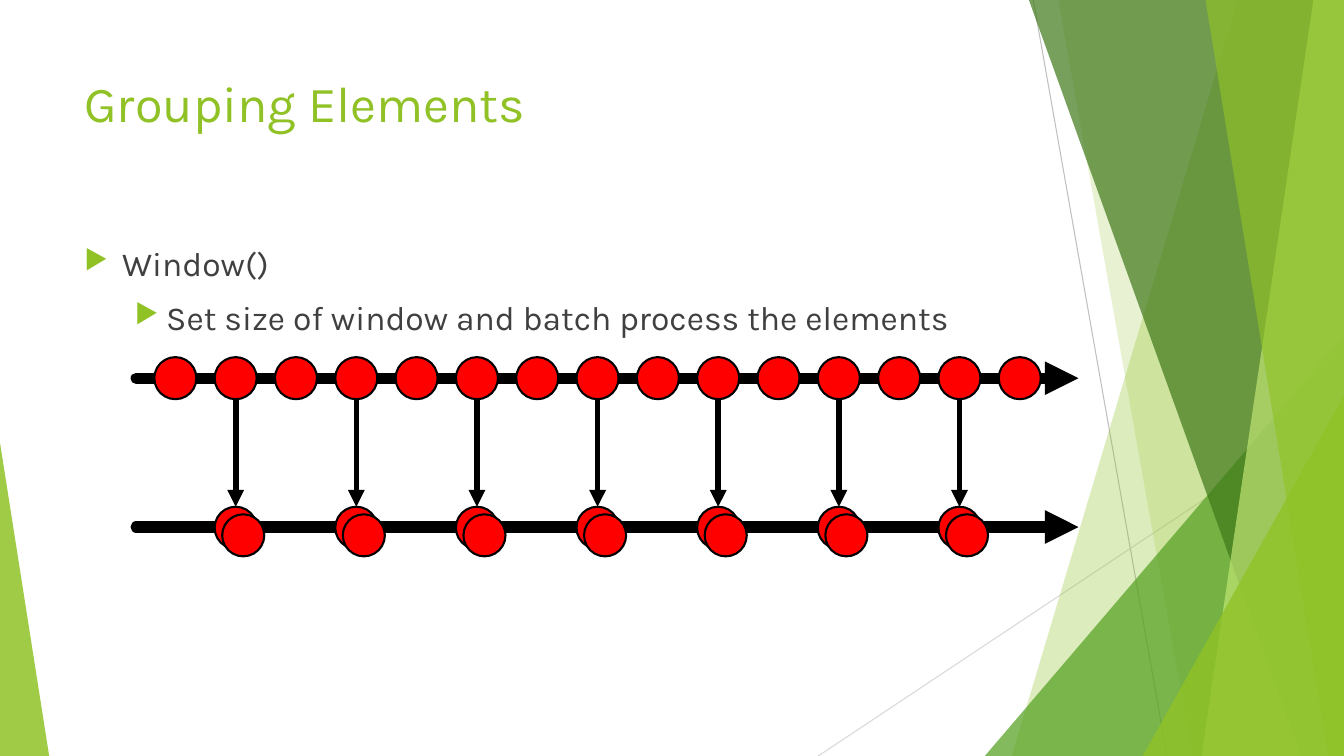
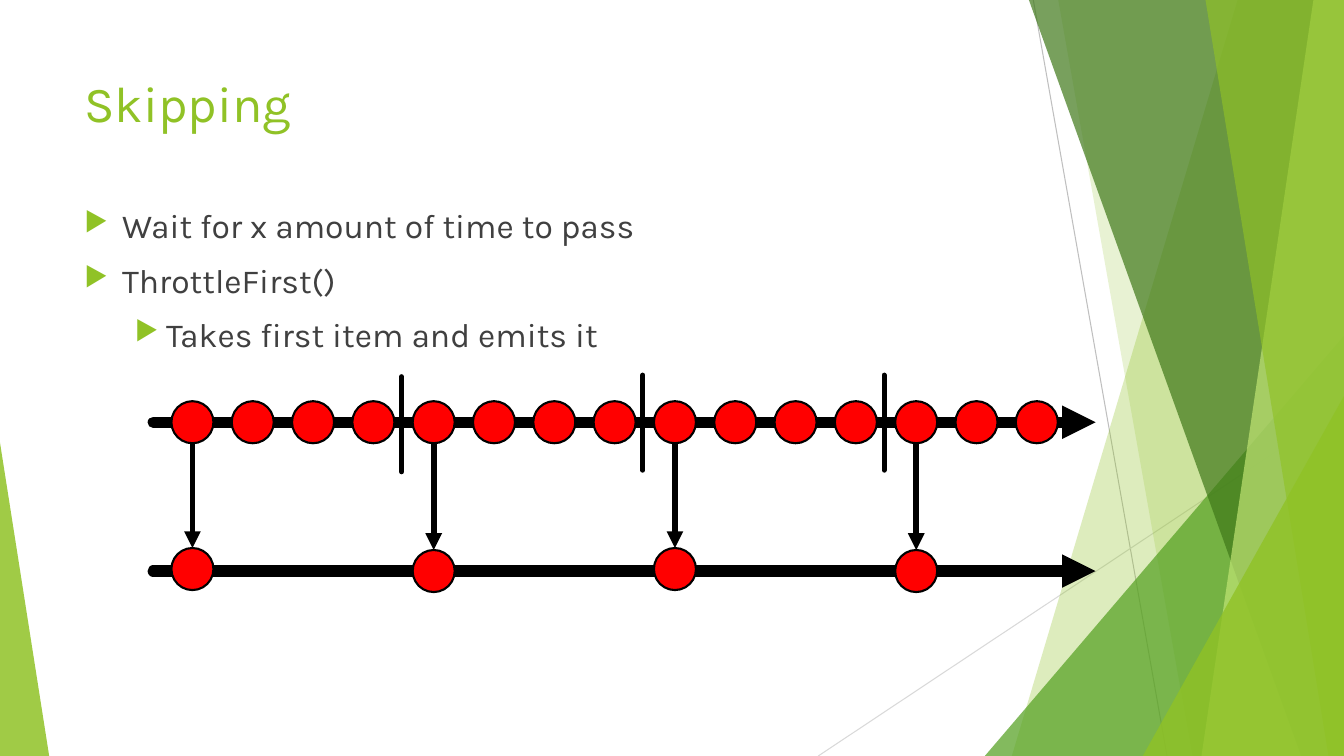
from lxml.etree import SubElement
from pptx import Presentation
from pptx.dml.color import RGBColor
from pptx.enum.shapes import MSO_CONNECTOR as CONN, MSO_SHAPE as SHAPE
from pptx.oxml.ns import qn
from pptx.util import Cm, Pt

# Content: drops map the index of a ball to its small vertical shift
SLIDES = [
    {
        "title": "Grouping Elements",
        "body_top": 6,
        "body": [(0, "Window()"),
                 (1, "Set size of window and batch process the elements")],
        "rail": (3.43, 9.53),
        "drops": {i: 0.02 for i in range(1, 15, 2)},
        "batch": 2,
        "dividers": {},
    },
    {
        "title": "Skipping",
        "body_top": 5.05,
        "body": [(0, "Wait for x amount of time to pass"),
                 (0, "ThrottleFirst()"),
                 (1, "Takes first item and emits it")],
        "rail": (3.86, 10.64),
        "drops": {0: -0.05, 4: 0, 8: -0.05, 12: 0},
        "batch": 1,
        "dividers": {4: 0.04, 8: 0, 12: 0},
    },
]

# Shared style, lengths in cm
W, H = 33.87, 19.05
FONT = "Karla"
COLORS = {
    "green": "90C226", "leaf": "54A021", "forest": "3F7819", "lime": "C0E474",
    "text": "404040", "ball": "FF0000", "ink": "000000",
    "grey": "BFBFBF", "pale": "D9D9D9",
}
INDENTS = [(0.95, -0.95), (2.06, -0.79)]  # left margin, first line
TEXT_LEFT, TEXT_WIDTH = 1.88, 23.88

# Backdrop, back to front
HAIRLINES = [((26.04, 0), (29.41, H), "grey"), ((W, 10.24), (20.62, H), "pale")]
FACETS = [  # band: top x, bottom x; triangle: left, top, width, apex
    ("band", (31.19, 25.5), "green", 30),
    ("band", (26.67, 30.05), "green", 20),
    ("triangle", (24.82, 8.46, 9.05, 1), "leaf", 72),
    ("band", (25.93, 32.79), "forest", 70),
    ("band", (33.1, 30.28), "lime", 70),
    ("band", (30.38, 33.48), "green", 65),
    ("triangle", (28.8, 9.98, 5.07, 1), "green", 80),
    ("triangle", (0, 11.15, 1.24, 0), "green", 85),
]

# Diagram measures
RAIL_LENGTH, RAIL_GAP = 23.75, 3.75
BALLS, PITCH, FIRST, RADIUS = 15, 1.52, 0.99, 0.53
BATCH_SHIFT = 0.19
DIVIDER_RISE, DIVIDER_LENGTH, DIVIDER_NUDGE = 1.19, 2.4, -0.05


def rgb(name):
    return RGBColor.from_string(COLORS[name])


def paint(s, color, alpha=100, line=None):
    s.shadow.inherit = False
    s.fill.solid()
    s.fill.fore_color.rgb = rgb(color)
    if alpha < 100:
        clr = s._element.spPr.find(qn("a:solidFill"))[0]
        SubElement(clr, qn("a:alpha"), val=str(alpha * 1000))
    if line:
        s.line.color.rgb = rgb("ink")
        s.line.width = Pt(line)
    else:
        s.line.fill.background()


def add_line(slide, start, end, width, color="ink", arrow=False):
    s = slide.shapes.add_connector(CONN.STRAIGHT, *map(Cm, start + end))
    s.line.color.rgb = rgb(color)
    s.line.width = Pt(width)
    sp_pr = s._element.spPr
    ln = sp_pr.find(qn("a:ln"))
    ln.set("cap", "rnd")
    if arrow:
        SubElement(ln, qn("a:tailEnd"), type="triangle")
    SubElement(sp_pr, qn("a:effectLst"))


def add_ball(slide, x, y):
    s = slide.shapes.add_shape(SHAPE.OVAL, Cm(x - RADIUS), Cm(y - RADIUS),
                               Cm(2 * RADIUS), Cm(2 * RADIUS))
    paint(s, "ball", line=1.5)


def add_text(slide, top, height, items, size, color, bullets=False):
    s = slide.shapes.add_textbox(Cm(TEXT_LEFT), Cm(top), Cm(TEXT_WIDTH), Cm(height))
    tf = s.text_frame
    tf.word_wrap = True
    for i, (level, text) in enumerate(items):
        p = tf.paragraphs[0] if i == 0 else tf.add_paragraph()
        r = p.add_run()
        r.text = text
        r.font.name, r.font.size = FONT, Pt(size)
        r.font.color.rgb = rgb(color)
        if bullets:
            add_bullet(p, level)


def add_bullet(p, level):
    p.level = level
    p.space_before = Pt(10)
    p_pr = p._p.get_or_add_pPr()
    margin, indent = INDENTS[level]
    p_pr.set("marL", str(Cm(margin)))
    p_pr.set("indent", str(Cm(indent)))
    SubElement(SubElement(p_pr, qn("a:buClr")), qn("a:srgbClr"), val=COLORS["green"])
    SubElement(p_pr, qn("a:buSzPct"), val="80000")
    SubElement(p_pr, qn("a:buChar"), char="▶")


def add_backdrop(slide):
    for start, end, color in HAIRLINES:
        add_line(slide, start, end, 0.75, color)
    for kind, geometry, color, alpha in FACETS:
        if kind == "band":
            top_x, bottom_x = geometry
            outline = slide.shapes.build_freeform(Cm(top_x), 0)
            corners = [(W, 0), (W, H), (bottom_x, H)]
            outline.add_line_segments([(Cm(x), Cm(y)) for x, y in corners])
            s = outline.convert_to_shape()
        else:
            left, top, width, apex = geometry
            s = slide.shapes.add_shape(SHAPE.ISOSCELES_TRIANGLE, Cm(left), Cm(top),
                                       Cm(width), Cm(H - top))
            s.adjustments[0] = apex
        paint(s, color, alpha)


def add_diagram(slide, data):
    left, top = data["rail"]
    bottom = top + RAIL_GAP
    centers = [left + FIRST + i * PITCH for i in range(BALLS)]

    # Arrows, then the two rails over them
    for i, shift in data["drops"].items():
        add_line(slide, (centers[i], top + RADIUS + shift),
                 (centers[i], bottom - RADIUS + shift), 4, arrow=True)
    for y in (top, bottom):
        add_line(slide, (left, y), (left + RAIL_LENGTH, y), 8, arrow=True)

    # Incoming balls and emitted ones
    for x in centers:
        add_ball(slide, x, top)
    for i, shift in data["drops"].items():
        for n in range(data["batch"]):
            add_ball(slide, centers[i] + n * BATCH_SHIFT,
                     bottom + shift + n * BATCH_SHIFT)

    # Time windows
    for i, shift in data["dividers"].items():
        x = centers[i] - PITCH / 2 + DIVIDER_NUDGE
        y = top - DIVIDER_RISE + shift
        add_line(slide, (x, y), (x, y + DIVIDER_LENGTH), 3.5)


def main():
    prs = Presentation()
    prs.slide_width, prs.slide_height = Cm(W), Cm(H)
    for data in SLIDES:
        slide = prs.slides.add_slide(prs.slide_layouts[6])
        add_backdrop(slide)
        add_text(slide, 1.7, 2.34, [(0, data["title"])], 36, "green")
        add_text(slide, data["body_top"], 10.77, data["body"], 24, "text", bullets=True)
        add_diagram(slide, data)
    prs.save("out.pptx")


if __name__ == "__main__":
    main()
